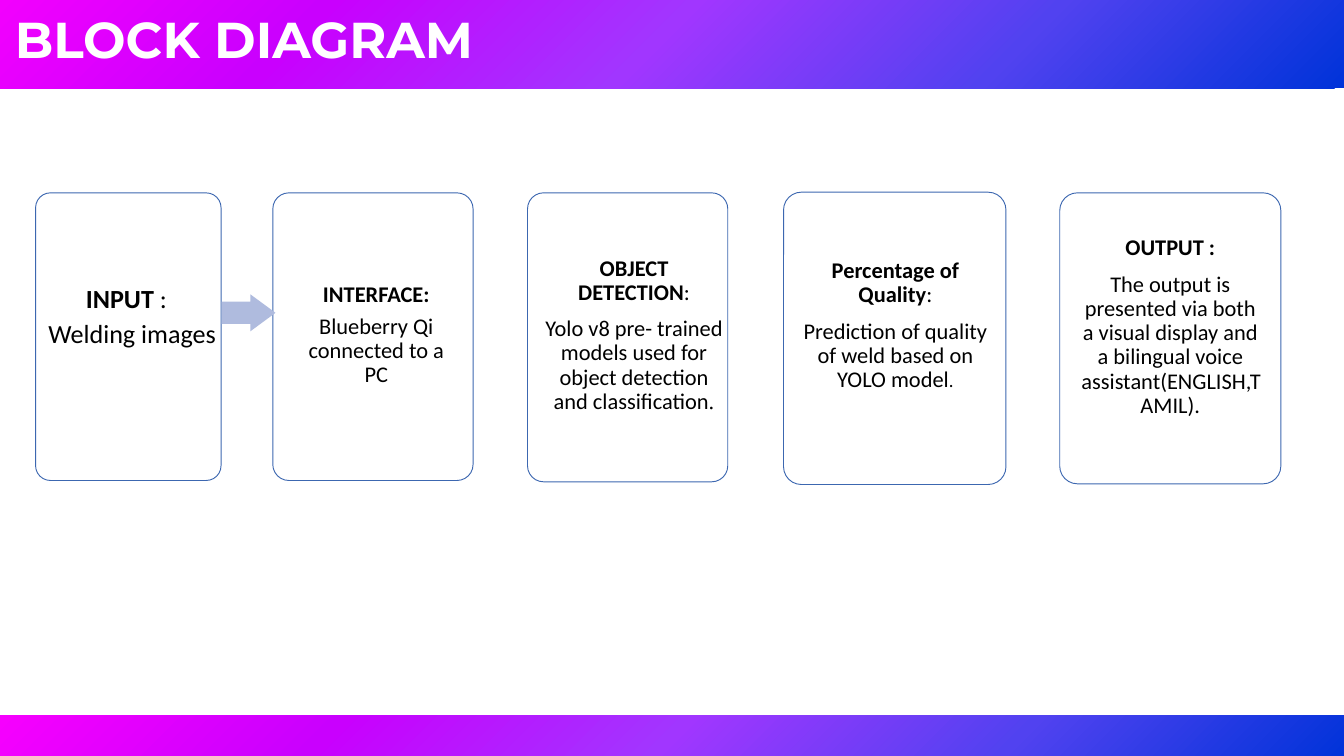
from pptx import Presentation
from pptx.dml.color import RGBColor
from pptx.enum.shapes import MSO_SHAPE as SHAPE
from pptx.enum.text import MSO_ANCHOR as ANCHOR, PP_ALIGN as ALIGN
from pptx.oxml import parse_xml
from pptx.oxml.ns import nsdecls, qn
from pptx.util import Inches, Pt

COLS, ROWS = 20, 11.25
GRADIENT = {0: "F600FE", 25: "C900FE", 50: "A136FF", 75: "5142F0", 100: "0033D9"}
CARDS = [(0.53, 2.87, 2.76, 4.28), (4.06, 2.87, 2.98, 4.28), (7.85, 2.87, 2.98, 4.3),
         (11.66, 2.86, 3.31, 4.35), (15.77, 2.87, 3.29, 4.33)]
BANDS = [(0, 10.65, 20, 0.65), (0, -0.51, 20, 1.82)]
STEPS = [
    ((4.3, 4.22, 2.6, 1.7), 0,
     [("INTERFACE:", True)],
     [("Blueberry Qi connected to a PC",)]),
    ((8, 3.82, 2.87, 2.6), 5.2,
     [("OBJECT DETECTION", True), (":",)],
     [("Yolo v8 pre- trained models used for object detection and classification",),
      (".", False, 24, "Times New Roman")]),
    ((11.76, 3.85, 3.13, 2.2), 5.9,
     [("Percentage of Quality", True), (":",)],
     [("Prediction of quality of weld based on YOLO model",), (".", False, 20)]),
    ((15.97, 3.52, 2.89, 3), 5.2,
     [("OUTPUT :", True)],
     [("The output is presented via both a visual display and a bilingual voice "
       "assistant(ENGLISH,TAMIL).",)]),
]


def rgb(value):
    return RGBColor.from_string(value)


class Deck:
    """Holds the style and the current slide, laid out on a 20 by 11.25 grid."""

    font, ink, outline, accent = "Calibri", "000000", "3C67B0", "AFBBDE"

    def __init__(self):
        self.prs = Presentation()
        self.prs.slide_width, self.prs.slide_height = Inches(20), Inches(11.25)
        self.s = self.prs.slides.add_slide(self.prs.slide_layouts[5])

    def place(self, col, row, cols, rows):
        w, h = self.prs.slide_width, self.prs.slide_height
        return [int(v) for v in (w * col / COLS, h * row / ROWS,
                                 w * cols / COLS, h * rows / ROWS)]

    def shape(self, kind, box):
        sp = self.s.shapes.add_shape(kind, *self.place(*box))
        sp.shadow.inherit = False
        sp.line.fill.background()
        return sp

    def band(self, box):
        sp = self.shape(SHAPE.RECTANGLE, box)
        sp.fill.gradient()
        stops = "".join(f'<a:gs pos="{pos * 1000}"><a:srgbClr val="{color}"/></a:gs>'
                        for pos, color in GRADIENT.items())
        old = sp._element.spPr.find(qn("a:gradFill"))
        old.getparent().replace(old, parse_xml(
            f'<a:gradFill {nsdecls("a")}><a:gsLst>{stops}</a:gsLst><a:path path="circle">'
            '<a:fillToRect r="100000" b="100000"/></a:path></a:gradFill>'))

    def card(self, box):
        sp = self.shape(SHAPE.ROUNDED_RECTANGLE, box)
        sp.adjustments[0] = 0.08
        sp.fill.background()
        sp.line.color.rgb = rgb(self.outline)
        sp.line.width = Pt(1)

    def arrow(self, box):
        sp = self.shape(SHAPE.RIGHT_ARROW, box)
        sp.adjustments[0], sp.adjustments[1] = 0.6, 0.68
        sp.fill.solid()
        sp.fill.fore_color.rgb = rgb(self.accent)

    def style(self, r, bold=False, size=24, name=None, color=None):
        r.font.name, r.font.size, r.font.bold = name or self.font, Pt(size), bold
        r.font.color.rgb = rgb(color or self.ink)

    def text(self, box, paragraphs, gap=0, align=ALIGN.CENTER, inset=0.11, indents=(0, 0)):
        tf = self.s.shapes.add_textbox(*self.place(*box)).text_frame
        tf.word_wrap = True
        tf.margin_top = tf.margin_bottom = 0
        tf.margin_left = tf.margin_right = Inches(inset)
        for i, (runs, indent) in enumerate(zip(paragraphs, indents)):
            p = tf.add_paragraph() if i else tf.paragraphs[0]
            p._p.get_or_add_pPr().set("marL", str(Inches(indent)))
            p.alignment, p.line_spacing, p.space_after = align, 0.9, Pt(8)
            p.space_before = Pt(gap if i else 0)
            for words, *look in runs:
                r = p.add_run()
                r.text = words
                self.style(r, *look)

    def title(self, words, box):
        sp = self.s.shapes.title
        sp.left, sp.top, sp.width, sp.height = self.place(*box)
        self.s.shapes._spTree.append(sp._element)
        tf = sp.text_frame
        tf.text = words
        tf.word_wrap, tf.vertical_anchor = True, ANCHOR.TOP
        p = tf.paragraphs[0]
        p.alignment = ALIGN.LEFT
        self.style(p.runs[0], True, 54, "Montserrat", "FFFFFF")


def main():
    deck = Deck()
    for box in BANDS:
        deck.band(box)
    deck.title("BLOCK DIAGRAM", (0.12, 0.07, 13.05, 1.2))
    for box in CARDS:
        deck.card(box)
    deck.arrow((3.3, 4.38, 0.8, 0.55))
    deck.text((0.63, 4.25, 2.93, 1.2),
              [[("INPUT ", True, 28), (":", False, 28)], [("Welding images", False, 28)]],
              align=ALIGN.LEFT, inset=0, indents=(0.65, 0.09))
    for box, gap, *paragraphs in STEPS:
        deck.text(box, paragraphs, gap)
    deck.prs.save("out.pptx")


if __name__ == "__main__":
    main()
